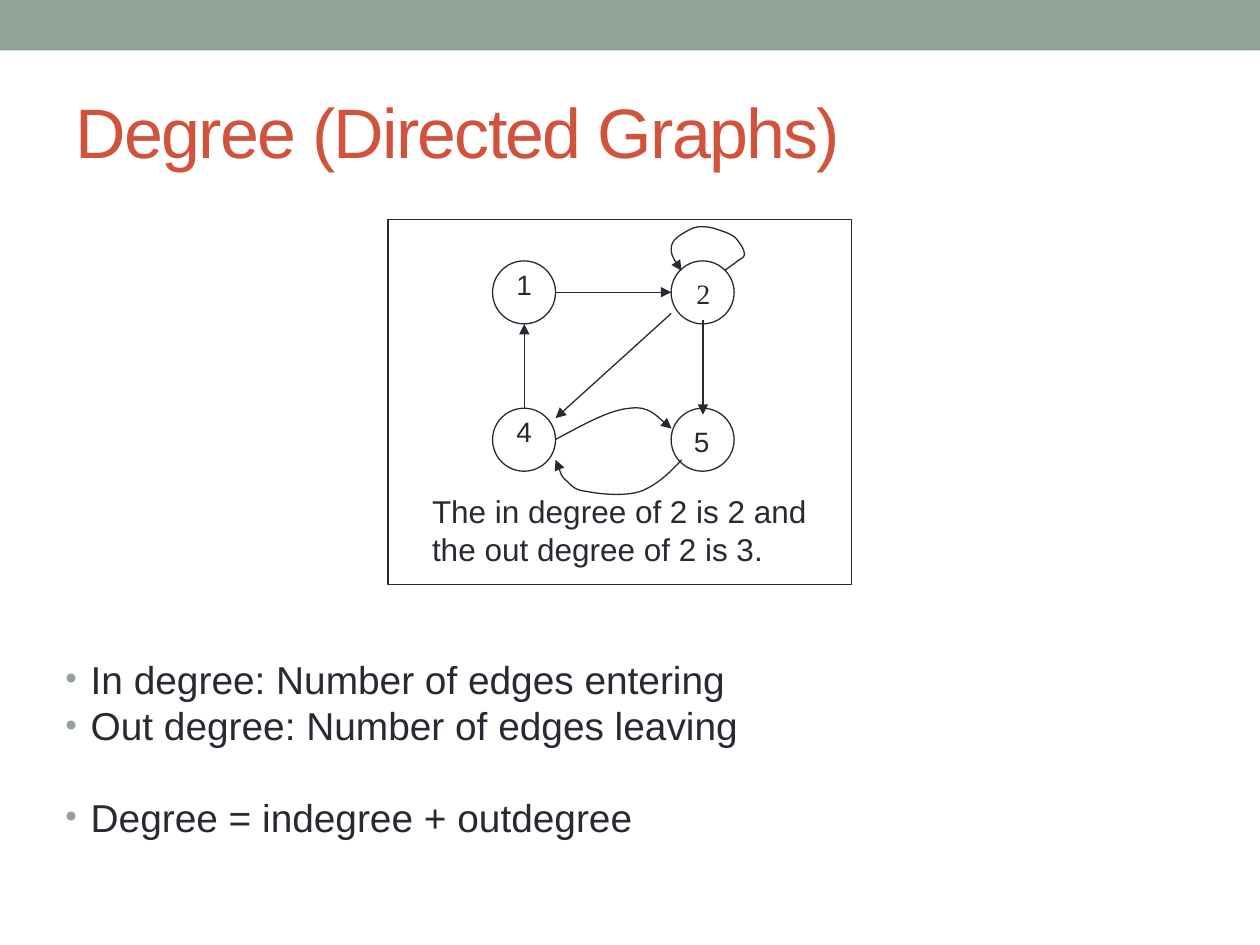
import pptx
import pptx.util
import pptx.dml.color
import pptx.enum.shapes
import pptx.enum.text
import pptx.oxml.ns
from lxml import etree

Cm, Pt = pptx.util.Cm, pptx.util.Pt
RGBColor = pptx.dml.color.RGBColor
SHAPE = pptx.enum.shapes.MSO_SHAPE
qn = pptx.oxml.ns.qn

INK = RGBColor(0x29, 0x29, 0x34)
SAGE = RGBColor(0x93, 0xA2, 0x99)
RUST = RGBColor(0xD2, 0x53, 0x3C)

TITLE = "Degree (Directed Graphs)"
BULLETS = [
    ("In degree: Number of edges entering", 0),
    ("Out degree: Number of edges leaving", 5.3),
    ("Degree = indegree + outdegree", 31),
]
CAPTION = "The in degree of 2 is 2 and\vthe out degree of 2 is 3."

COLS, ROWS, NODE = (9.93, 13.53), (5.26, 8.23), 1.27
NODES = [
    ("1", 0, 0, (0.23, 0), "Arial"),
    ("2", 1, 0, (0.26, 0.2), "Times New Roman"),
    ("4", 0, 1, (0.23, 0), "Arial"),
    ("5", 1, 1, (0.21, 0.2), "Arial"),
]
STRAIGHT_EDGES = [
    ((10.57, 8.23), (10.57, 6.53)),
    ((11.2, 5.89), (13.53, 5.89)),
    ((13.53, 6.32), (11.2, 8.43)),
    ((14.17, 6.45), (14.17, 8.36)),
]
CURVED_EDGES = [
    ("headEnd", [
        (13.74, 5.46),
        (13.61, 5.28), (13.51, 5.11), (13.54, 4.95),
        (13.56, 4.8), (13.82, 4.67), (13.97, 4.6),
        (14.1, 4.55), (14.25, 4.57), (14.38, 4.6),
        (14.53, 4.65), (14.71, 4.7), (14.81, 4.78),
        (14.91, 4.88), (15.01, 5.03), (15.01, 5.13),
        (15.01, 5.21), (14.88, 5.23), (14.81, 5.31),
        (14.73, 5.36), (14.63, 5.44), (14.61, 5.46)]),
    ("tailEnd", [
        (11.2, 8.86),
        (11.76, 8.56), (12.29, 8.26), (12.7, 8.23),
        (13.08, 8.18), (13.39, 8.53), (13.54, 8.64)]),
    ("tailEnd", [
        (13.74, 9.27),
        (13.49, 9.55), (13.21, 9.8), (12.9, 9.91),
        (12.57, 10.01), (12.09, 9.96), (11.84, 9.91),
        (11.58, 9.88), (11.53, 9.8), (11.43, 9.7),
        (11.3, 9.6), (11.25, 9.35), (11.2, 9.27)]),
]


def lengths(*values):
    return [Cm(v) for v in values]


def set_font(r, size, color=INK, name="Arial"):
    r.font.color.rgb = color
    for key, value in {"size": Pt(size), "name": name}.items():
        setattr(r.font, key, value)


def add_text(s, box, text, size, color=INK, name="Arial", **frame):
    tf = s.shapes.add_textbox(*lengths(*box)).text_frame
    for key, value in {"word_wrap": False, **frame}.items():
        setattr(tf, key, value)
    p = tf.paragraphs[0]
    p.text = text
    for r in p.runs:
        set_font(r, size, color, name)
    return tf


def outline(sp):
    sp.shadow.inherit = False
    sp.fill.background()
    sp.line.color.rgb = INK
    sp.line.width = Pt(0.75)


def add_arrowhead(sp, end):
    etree.SubElement(sp.line._get_or_add_ln(), qn("a:" + end), type="triangle")


def add_edge(s, start, end):
    c = s.shapes.add_connector(
        pptx.enum.shapes.MSO_CONNECTOR.STRAIGHT, *lengths(*start, *end))
    c.line.color.rgb = INK
    c.line.width = Pt(0.75)
    add_arrowhead(c, "tailEnd")
    etree.SubElement(c._element.spPr, qn("a:effectLst"))


def add_curve(s, end, points):
    start, *rest = [lengths(*pt) for pt in points]
    builder = s.shapes.build_freeform(*start)
    builder.add_line_segments(rest, close=False)
    sp = builder.convert_to_shape()
    outline(sp)
    add_arrowhead(sp, end)
    segments = list(sp._element.iter(qn("a:lnTo")))
    for i in range(0, len(segments), 3):
        curve = etree.Element(qn("a:cubicBezTo"))
        segments[i].addprevious(curve)
        for segment in segments[i:i + 3]:
            curve.append(segment[0])
            segment.getparent().remove(segment)


def add_bullets(s):
    tf = s.shapes.add_textbox(*lengths(1.07, 12.07, 22.86, 5.08)).text_frame
    tf.word_wrap = True
    tf.margin_top = Cm(1.32)
    for i, (text, before) in enumerate(BULLETS):
        p = tf.add_paragraph() if i else tf.paragraphs[0]
        for key, value in {"line_spacing": 0.8, "space_before": Pt(before)}.items():
            setattr(p, key, value)
        r = p.add_run()
        r.text = text
        set_font(r, 22.2)
        pPr = p._p.get_or_add_pPr()
        pPr.set("marL", str(Cm(0.51)))
        pPr.set("indent", str(-Cm(0.51)))
        color = etree.SubElement(pPr, qn("a:buClr"))
        etree.SubElement(color, qn("a:srgbClr"), val=str(SAGE))
        etree.SubElement(pPr, qn("a:buSzPct"), val="85000")
        etree.SubElement(pPr, qn("a:buFont"), typeface="Arial")
        etree.SubElement(pPr, qn("a:buChar"), char="•")


def main():
    prs = pptx.Presentation()
    prs.slide_width, prs.slide_height = lengths(25.4, 19.05)
    s = prs.slides.add_slide(prs.slide_layouts[6])

    band = s.shapes.add_shape(SHAPE.RECTANGLE, *lengths(0, 0, 25.4, 1.02))
    band.shadow.inherit = False
    band.fill.solid()
    band.fill.fore_color.rgb = SAGE
    band.line.fill.background()

    title = add_text(s, (1.27, 1.47, 22.86, 2.31), TITLE, 40, RUST, word_wrap=True,
                     vertical_anchor=pptx.enum.text.MSO_ANCHOR.MIDDLE)
    title.paragraphs[0].runs[0].font._element.set("spc", "-100")
    add_bullets(s)

    outline(s.shapes.add_shape(SHAPE.RECTANGLE, *lengths(7.82, 4.42, 9.35, 7.37)))
    for label, col, row, (dx, dy), name in NODES:
        x, y = COLS[col], ROWS[row]
        outline(s.shapes.add_shape(SHAPE.OVAL, *lengths(x, y, NODE, NODE)))
        add_text(s, (x + dx, y + dy, 0.8, 0.94), label, 16, name=name)
    for start, end in STRAIGHT_EDGES:
        add_edge(s, start, end)
    for end, points in CURVED_EDGES:
        add_curve(s, end, points)
    add_text(s, (8.46, 9.8, 8.08, 1.78), CAPTION, 18)

    prs.save("out.pptx")


if __name__ == "__main__":
    main()
